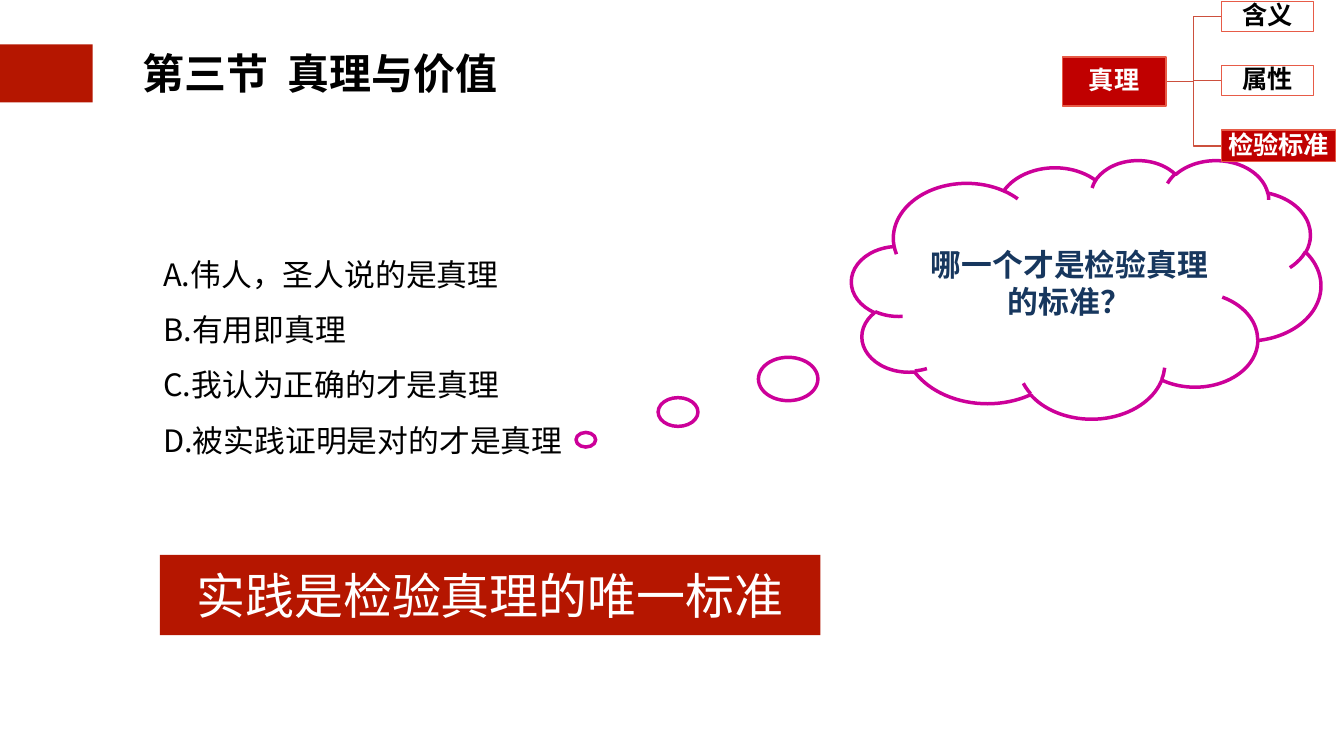
from dataclasses import dataclass
from typing import Optional

from lxml import etree
from pptx import Presentation
from pptx.dml.color import RGBColor
from pptx.enum.shapes import MSO_CONNECTOR, MSO_SHAPE
from pptx.enum.text import MSO_ANCHOR, PP_ALIGN
from pptx.oxml.ns import qn
from pptx.util import Inches, Pt

COLORS = {
    "banner": "B51600", "node": "C00000", "node_edge": "E75B47",
    "branch": "CC503E", "cloud_edge": "CC0099", "question": "17375E",
    "black": "000000", "white": "FFFFFF",
}
CJK_FONT = "Noto Sans CJK SC"


@dataclass(frozen=True)
class Box:
    left: float
    top: float
    width: float
    height: float

    def emu(self) -> tuple:
        return tuple(map(Inches, (self.left, self.top, self.width, self.height)))

    @property
    def middle(self) -> float:
        return self.top + self.height / 2


@dataclass(frozen=True)
class TextStyle:
    size: float
    color: str
    font: str = CJK_FONT
    bold: bool = False
    align: PP_ALIGN = PP_ALIGN.CENTER
    anchor: MSO_ANCHOR = MSO_ANCHOR.MIDDLE
    spacing: float = 1.0
    inset: float = 0.1
    wrap: bool = True


@dataclass(frozen=True)
class Node:
    label: str
    box: Box
    active: bool = False


def rgb(name: str) -> RGBColor:
    return RGBColor.from_string(COLORS[name])


def write(shape, text: str, style: TextStyle) -> None:
    """Fill a shape with text, one paragraph for each line."""
    frame = shape.text_frame
    frame.text = text
    frame.word_wrap = style.wrap
    frame.vertical_anchor = style.anchor
    frame.margin_left = frame.margin_right = Inches(style.inset)
    frame.margin_top = frame.margin_bottom = Inches(style.inset)
    for paragraph in frame.paragraphs:
        paragraph.alignment = style.align
        paragraph.line_spacing = style.spacing
        for run in paragraph.runs:
            run.font.size = Pt(style.size)
            run.font.name = style.font
            run.font.bold = style.bold
            run.font.color.rgb = rgb(style.color)
            east_asian = etree.SubElement(run.font._element, qn("a:ea"))
            east_asian.set("typeface", CJK_FONT)


def add_figure(slide, kind: MSO_SHAPE, box: Box, fill: Optional[str] = None,
               edge: Optional[str] = None, edge_width: float = 2):
    figure = slide.shapes.add_shape(kind, *box.emu())
    figure.shadow.inherit = False
    if fill:
        figure.fill.solid()
        figure.fill.fore_color.rgb = rgb(fill)
    else:
        figure.fill.background()
    if edge:
        figure.line.color.rgb = rgb(edge)
        figure.line.width = Pt(edge_width)
    else:
        figure.line.fill.background()
    return figure


def add_text(slide, box: Box, text: str, style: TextStyle) -> None:
    write(slide.shapes.add_textbox(*box.emu()), text, style)


def add_branch(slide, root: Box, leaf: Box) -> None:
    branch = slide.shapes.add_connector(
        MSO_CONNECTOR.ELBOW, Inches(root.left + root.width), Inches(root.middle),
        Inches(leaf.left), Inches(leaf.middle))
    branch.line.color.rgb = rgb("branch")
    branch.line.width = Pt(2)
    etree.SubElement(branch._element.spPr, qn("a:effectLst"))


def add_node(slide, node: Node) -> None:
    figure = add_figure(slide, MSO_SHAPE.RECTANGLE, node.box,
                        "node" if node.active else None, "node_edge")
    write(figure, node.label,
          TextStyle(36, "white" if node.active else "black", bold=True,
                    spacing=0.9, inset=0.03))


def add_topic_tree(slide) -> None:
    root = Node("真理", Box(21.08, 1.13, 2.06, 0.97), active=True)
    leaves = [
        Node("含义", Box(24.24, 0.03, 1.82, 0.59)),
        Node("属性", Box(24.24, 1.3, 1.82, 0.59)),
        Node("检验标准", Box(24.24, 2.58, 2.26, 0.63), active=True),
    ]
    for leaf in leaves:
        add_branch(slide, root.box, leaf.box)
    for node in (root, *leaves):
        add_node(slide, node)


def add_thought(slide) -> None:
    """Draw the question cloud and its trail of bubbles."""
    cloud = add_figure(slide, MSO_SHAPE.CLOUD, Box(16.9, 3.17, 9.31, 5.13),
                       "white", "cloud_edge", 5)
    write(cloud, "哪一个才是检验真理的标准？",
          TextStyle(44, "question", font="Calibri", bold=True))
    bubbles = [Box(15.05, 7.09, 1.18, 0.86), Box(13.06, 7.89, 0.79, 0.57),
               Box(11.43, 8.58, 0.39, 0.29)]
    for bubble in bubbles:
        add_figure(slide, MSO_SHAPE.OVAL, bubble, "white", "cloud_edge", 5)


def main() -> None:
    presentation = Presentation()
    presentation.slide_width = Inches(26.67)
    presentation.slide_height = Inches(15)
    slide = presentation.slides.add_slide(presentation.slide_layouts[6])

    add_figure(slide, MSO_SHAPE.RECTANGLE, Box(-0.03, 0.88, 1.87, 1.15), "banner")
    add_text(slide, Box(2.72, 0.81, 7.26, 1.28), "第三节  真理与价值",
             TextStyle(60, "black", font="Roboto", bold=True, inset=0.06, wrap=False))

    options = ["A.伟人，圣人说的是真理", "B.有用即真理",
               "C.我认为正确的才是真理", "D.被实践证明是对的才是真理"]
    add_text(slide, Box(3.14, 4.6, 15.85, 4.93), "\n".join(options),
             TextStyle(44, "black", align=PP_ALIGN.JUSTIFY, anchor=MSO_ANCHOR.TOP,
                       spacing=1.5))
    add_thought(slide)

    conclusion = add_figure(slide, MSO_SHAPE.RECTANGLE,
                            Box(3.17, 11.01, 13.11, 1.59), "banner")
    write(conclusion, "实践是检验真理的唯一标准",
          TextStyle(70, "white", font="Roboto", inset=0))
    add_topic_tree(slide)
    presentation.save("out.pptx")


if __name__ == "__main__":
    main()
